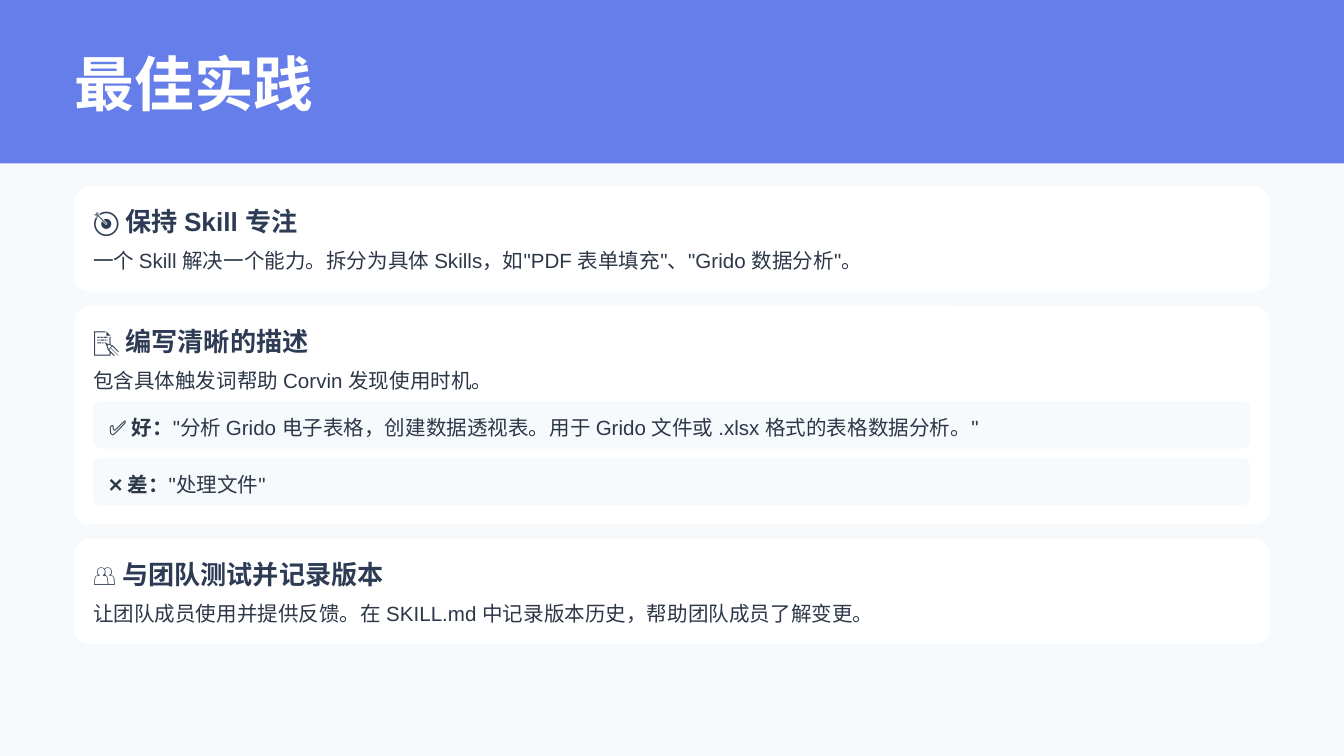
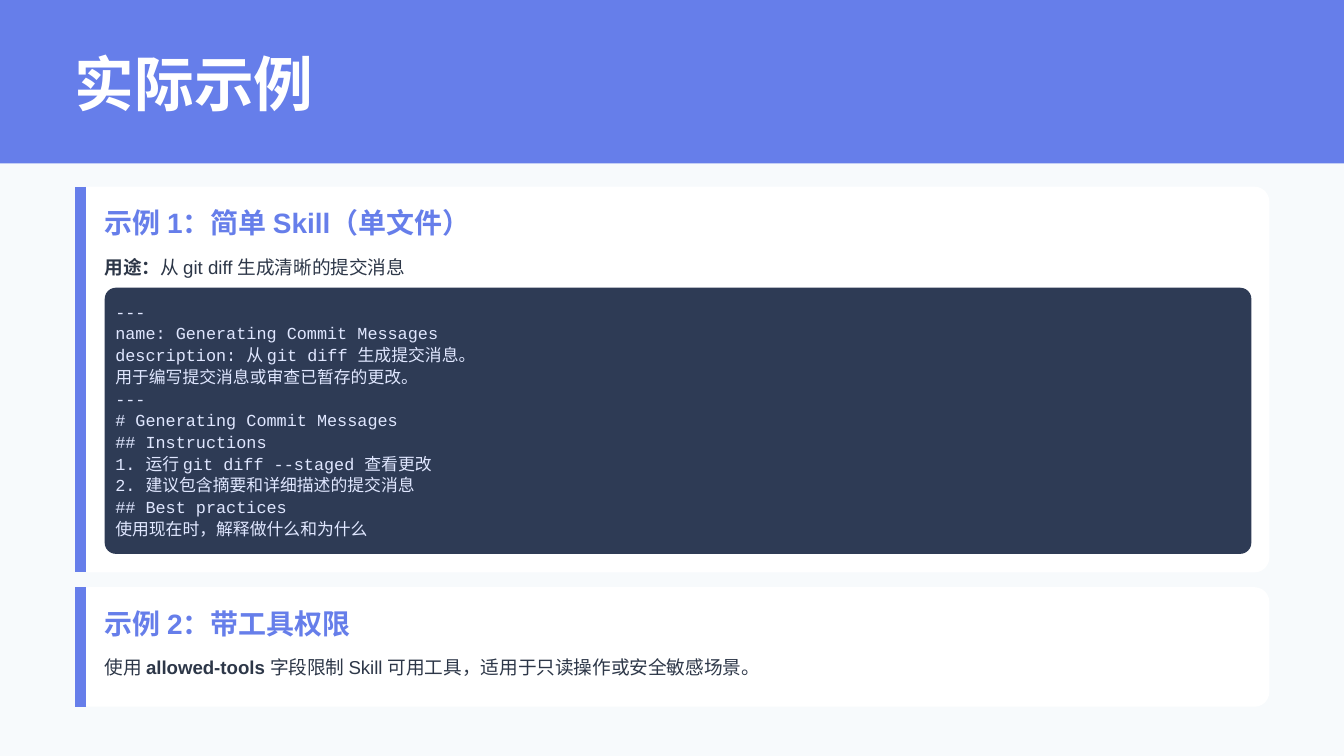
"""Builds two slides on writing skills: best practices and worked examples."""
from pptx import Presentation
from pptx.dml.color import RGBColor
from pptx.enum.shapes import MSO_CONNECTOR, MSO_SHAPE
from pptx.enum.text import MSO_ANCHOR, MSO_AUTO_SIZE, PP_ALIGN
from pptx.oxml.ns import qn
from pptx.util import Cm, Pt
from lxml import etree

RECT = MSO_SHAPE.RECTANGLE
ROUND = MSO_SHAPE.ROUNDED_RECTANGLE
LINE = MSO_CONNECTOR.STRAIGHT
LEFT = PP_ALIGN.LEFT
TOP = MSO_ANCHOR.TOP
FIXED = MSO_AUTO_SIZE.NONE

BLUE = RGBColor(0x66, 0x7E, 0xEA)
PALE = RGBColor(0xF7, 0xFA, 0xFC)
WHITE = RGBColor(0xFF, 0xFF, 0xFF)
NAVY = RGBColor(0x2E, 0x3B, 0x55)
INK = RGBColor(0x2D, 0x37, 0x48)
MIST = RGBColor(0xE0, 0xE7, 0xFF)

WIDE, HIGH = 25.4, 14.29
EDGE, SPAN = 1.41, 22.58
START, GAP = 3.53, 0.28

TIPS = [
    ("🎯 保持 Skill 专注",
     "一个 Skill 解决一个能力。拆分为具体 Skills，如\"PDF 表单填充\"、\"Grido 数据分析\"。", []),
    ("📝 编写清晰的描述", "包含具体触发词帮助 Corvin 发现使用时机。", [
        ("✅ 好：", "\"分析 Grido 电子表格，创建数据透视表。用于 Grido 文件或 .xlsx 格式的表格数据分析。\""),
        ("❌ 差：", "\"处理文件\""),
    ]),
    ("👥 与团队测试并记录版本",
     "让团队成员使用并提供反馈。在 SKILL.md 中记录版本历史，帮助团队成员了解变更。", []),
]

CODE = [
    "---",
    "name: Generating Commit Messages",
    "description: 从 git diff 生成提交消息。",
    "用于编写提交消息或审查已暂存的更改。",
    "---",
    "# Generating Commit Messages",
    "## Instructions",
    "1. 运行 git diff --staged 查看更改",
    "2. 建议包含摘要和详细描述的提交消息",
    "## Best practices",
    "使用现在时，解释做什么和为什么",
]

CASES = [
    ("示例 1：简单 Skill（单文件）",
     [("用途：", True), ("从 git diff 生成清晰的提交消息", False)], CODE, 7.29),
    ("示例 2：带工具权限",
     [("使用 ", False), ("allowed-tools", True),
      (" 字段限制 Skill 可用工具，适用于只读操作或安全敏感场景。", False)], [], 2.26),
]


class Deck:
    """Holds the style and the current slide."""

    def __init__(self):
        """Start an empty deck with a pale background."""
        self.file = Presentation()
        self.file.slide_width = Cm(WIDE)
        self.file.slide_height = Cm(HIGH)
        fill = self.file.slide_master.background.fill
        fill.solid()
        fill.fore_color.rgb = PALE
        self.slide = None

    def page(self, title):
        """Add a slide with a band and a title on it."""
        self.slide = self.file.slides.add_slide(self.file.slide_layouts[5])
        self.box(0, 0, WIDE, 3.09, BLUE)
        head = self.slide.shapes.title
        head.element.getparent().append(head.element)
        head.left, head.top, head.width, head.height = map(Cm, (EDGE, 0.88, 23.04, 1.32))
        self.letter(head.text_frame, [(title, True)], 32, WHITE)

    def box(self, x, y, w, h, fill, curve=0):
        """Draw a plain box, with round corners if a radius is given."""
        kind = ROUND if curve else RECT
        box = self.slide.shapes.add_shape(kind, Cm(x), Cm(y), Cm(w), Cm(h))
        if curve:
            box.adjustments[0] = curve / h
        box.shadow.inherit = False
        box.fill.solid()
        box.fill.fore_color.rgb = fill
        box.line.fill.background()

    def bar(self, x, y, h):
        """Draw a thick upright line."""
        bar = self.slide.shapes.add_connector(LINE, Cm(x), Cm(y), Cm(x), Cm(y + h))
        bar.line.color.rgb = BLUE
        bar.line.width = Pt(6)
        etree.SubElement(bar.element.spPr, qn("a:effectLst"))

    def text(self, x, y, w, h, runs, size, tint, **style):
        """Place a text box of one paragraph."""
        box = self.slide.shapes.add_textbox(Cm(x), Cm(y), Cm(w), Cm(h))
        self.letter(box.text_frame, runs, size, tint, **style)

    def letter(self, frame, runs, size, tint, font="Arial", lead=None, above=0, below=0):
        """Fill a frame with runs, given as pairs of words and boldness."""
        frame.margin_left = frame.margin_right = 0
        frame.margin_top = frame.margin_bottom = 0
        frame.word_wrap = True
        frame.auto_size = FIXED
        frame.vertical_anchor = TOP
        para = frame.paragraphs[0]
        para.alignment = LEFT
        para.space_before = Pt(above)
        para.space_after = Pt(below)
        if lead:
            para.line_spacing = Pt(lead)
        for words, bold in runs:
            run = para.add_run()
            run.text = words
            run.font.name = font
            run.font.size = Pt(size)
            run.font.bold = bold
            run.font.color.rgb = tint

    def card(self, y, h):
        """Draw a white card across the page."""
        self.box(EDGE, y, SPAN, h, WHITE, 0.28)

    def tip(self, y, head, body, notes):
        """Draw a tip card and return the top of the next one."""
        h = 1.98 + len(notes) * 1.07
        x = EDGE + 0.35
        self.card(y, h)
        self.text(x, y + 0.36, 22.3, 0.56, [(head, True)], 14, NAVY, below=5)
        self.text(x, y + 1.09, 22.3, 0.53, [(body, False)], 11, INK, lead=15.4)
        for i, (mark, words) in enumerate(notes):
            row = y + 1.8 + i * 1.07
            self.box(x, row, 21.87, 0.89, PALE, 0.14)
            self.text(x + 0.3, row + 0.18, 21.74, 0.53,
                      [(mark, True), (words, False)], 11, INK, lead=15.4)
        return y + h + GAP

    def case(self, y, head, body, code, h):
        """Draw an example card and return the top of the next one."""
        x = EDGE + 0.57
        self.card(y, h)
        self.bar(EDGE + 0.11, y, h)
        self.text(x, y + 0.36, 22.1, 0.64, [(head, True)], 15, BLUE, below=8)
        self.text(x, y + 1.27, 22.1, 0.46, body, 10, INK, lead=13, below=5)
        if code:
            self.box(x, y + 1.91, 21.67, 5.03, NAVY, 0.21)
        for i, words in enumerate(code):
            self.text(x + 0.2, y + 2.17 + i * 0.41, 21.67, 0.38, [(words, False)], 9, MIST,
                      font="Courier New", lead=10.8, above=1, below=1)
        return y + h + GAP


def main():
    """Build both slides and save them."""
    deck = Deck()
    deck.page("最佳实践")
    y = START
    for tip in TIPS:
        y = deck.tip(y, *tip)
    deck.page("实际示例")
    y = START
    for case in CASES:
        y = deck.case(y, *case)
    deck.file.save("out.pptx")


if __name__ == "__main__":
    main()
